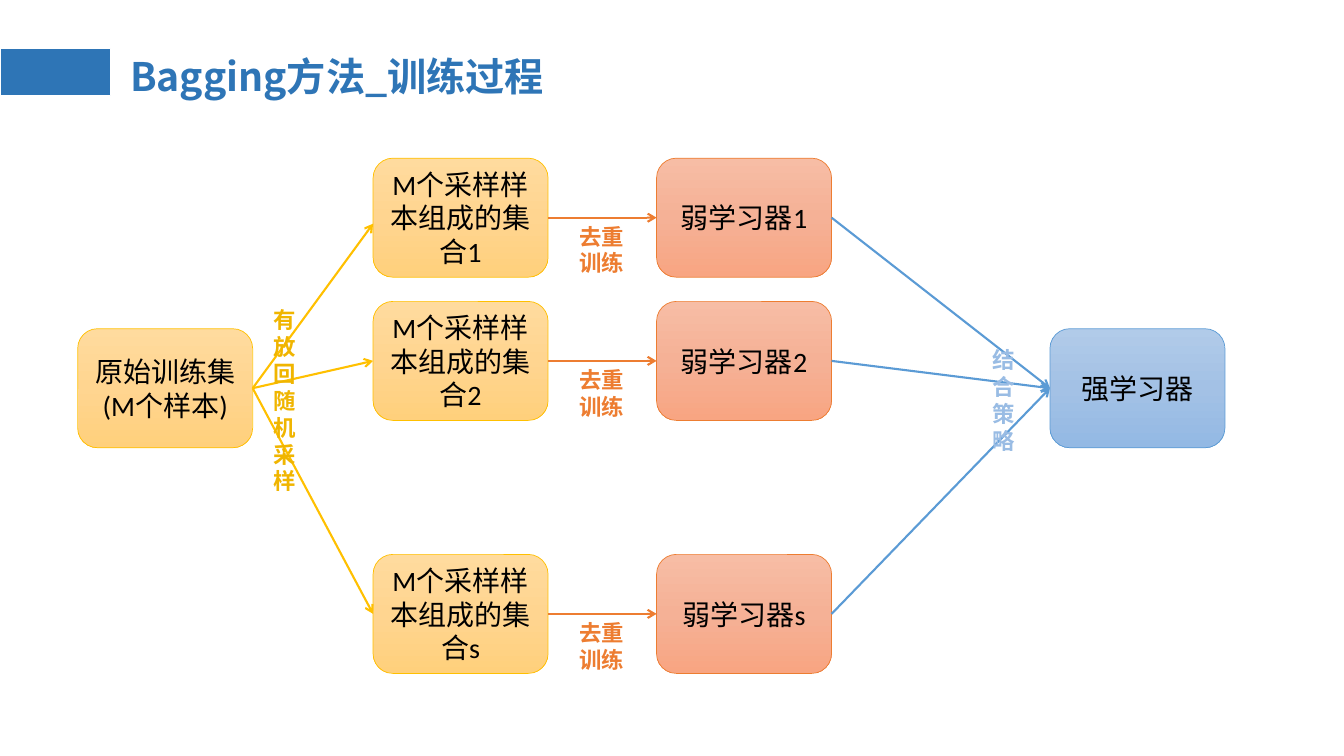
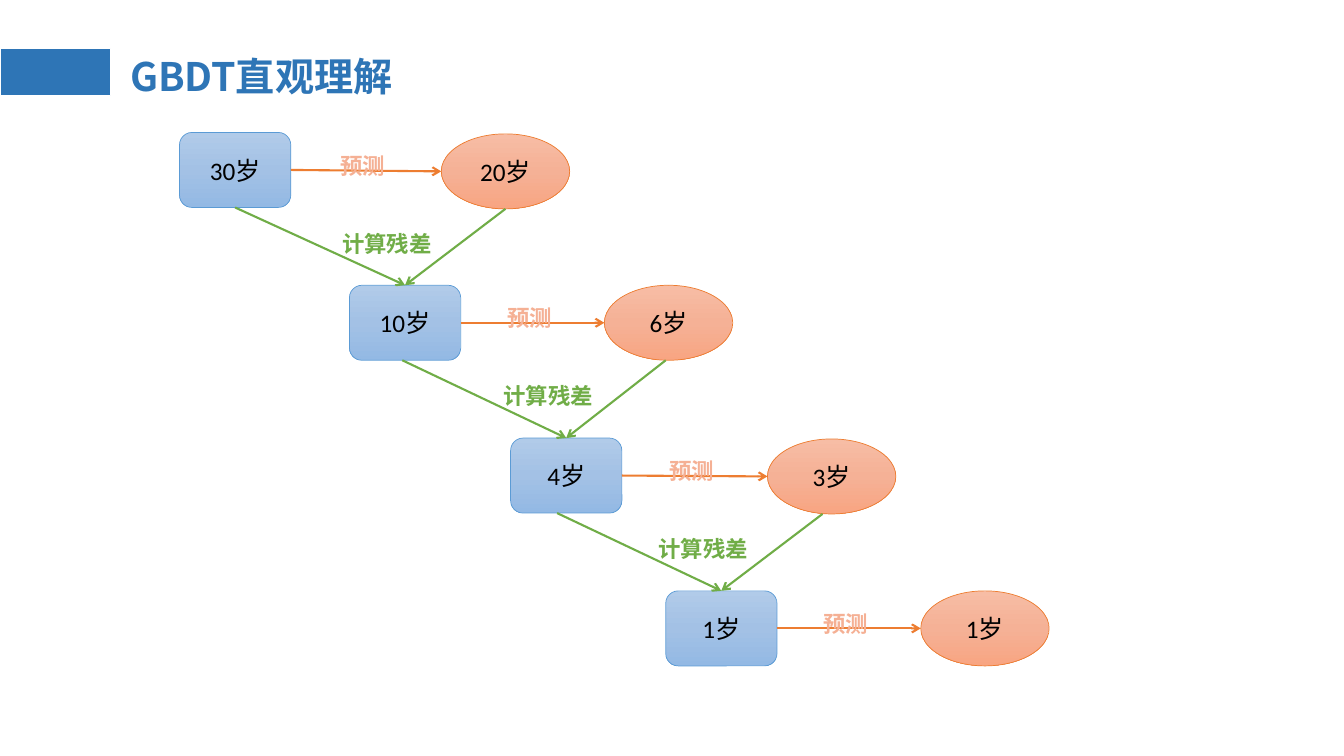
import copy
from dataclasses import dataclass
from typing import Any

import lxml.etree
import pptx
import pptx.dml.color
import pptx.enum.shapes
import pptx.enum.text
import pptx.oxml.ns
import pptx.util

Pt = pptx.util.Pt
qn = pptx.oxml.ns.qn
SHAPES = pptx.enum.shapes.MSO_SHAPE
ALIGN = pptx.enum.text.PP_ALIGN
TOP, LEFT, BOTTOM, RIGHT = range(4)


@dataclass(frozen=True)
class Tone:
    gradient: tuple
    line: str
    label: str


@dataclass(frozen=True)
class Theme:
    title: str = "2E75B6"
    white: str = "FFFFFF"
    ink: str = "000000"
    green: str = "70AD47"
    yellow: Tone = Tone(("FFDB9E", "FFD590", "FFD07C"), "FFC000", "F0B500")
    orange: Tone = Tone(("F7BDA5", "F5B196", "F8A582"), "ED7D31", "F5B094")
    blue: Tone = Tone(("B1CBE9", "A3C1E5", "93B9E4"), "5B9BD5", "99BCE4")
    title_font: str = "Noto Sans CJK SC"
    body_font: str = "Calibri"
    title_size: int = 28
    box_size: int = 20
    age_size: int = 18
    label_size: int = 16


THEME = Theme()


@dataclass(frozen=True)
class Box:
    """A rectangle in points."""
    left: float
    top: float
    width: float
    height: float

    def inner(self, left, top, width, height):
        return Box(self.left + left, self.top + top, width, height)

    def lengths(self):
        return [Pt(value) for value in (self.left, self.top, self.width, self.height)]


@dataclass(frozen=True)
class Anchor:
    """A connector's end, joined to a shape when one is given."""
    x: int
    y: int
    shape: Any = None
    site: int = 0


def rgb(color):
    return pptx.dml.color.RGBColor.from_string(color)


def format_text(frame, size, color, font=THEME.body_font, bold=False, align=ALIGN.LEFT):
    for paragraph in frame.paragraphs:
        paragraph.alignment = align
        paragraph.font.size = Pt(size)
        paragraph.font.bold = bold
        paragraph.font.color.rgb = rgb(color)
        paragraph.font.name = font
        latin = paragraph._p.find(".//" + qn("a:latin"))
        east_asian = lxml.etree.Element(qn("a:ea"), typeface=THEME.title_font)
        latin.addnext(east_asian)


def add_node(slide, kind, box, text, tone, size):
    """Gradient-filled shape with centred text."""
    shape = slide.shapes.add_shape(kind, *box.lengths())
    shape.shadow.inherit = False
    shape.fill.gradient()
    shape.fill.gradient_angle = 270
    stop_list = shape.element.find(".//" + qn("a:gsLst"))
    stop_list.insert(1, copy.deepcopy(stop_list[0]))
    for index, (stop, color) in enumerate(zip(shape.fill.gradient_stops, tone.gradient)):
        stop.color.rgb = rgb(color)
        stop.position = index / 2
    shape.line.color.rgb = rgb(tone.line)
    shape.line.width = Pt(0.5)
    shape.text_frame.text = text
    shape.text_frame.word_wrap = True
    format_text(shape.text_frame, size, THEME.ink, align=ALIGN.CENTER)
    return shape


def add_label(slide, box, text, color, wrap=False):
    frame = slide.shapes.add_textbox(*box.lengths()).text_frame
    frame.text = text
    frame.word_wrap = wrap
    frame.auto_size = pptx.enum.text.MSO_AUTO_SIZE.SHAPE_TO_FIT_TEXT
    format_text(frame, THEME.label_size, color, bold=True)


def side(shape, site, shift=(0, 0)):
    """Middle of a shape's side; a shifted or an oval end is left free."""
    x = shape.left + {LEFT: 0, RIGHT: shape.width}.get(site, shape.width // 2)
    y = shape.top + {TOP: 0, BOTTOM: shape.height}.get(site, shape.height // 2)
    if any(shift) or shape.auto_shape_type == SHAPES.OVAL:
        return Anchor(x + Pt(shift[0]), y + Pt(shift[1]))
    return Anchor(x, y, shape, site)


def add_arrow(slide, start, end, color):
    connector = slide.shapes.add_connector(
        pptx.enum.shapes.MSO_CONNECTOR.STRAIGHT, start.x, start.y, end.x, end.y)
    if start.shape is not None:
        connector.begin_connect(start.shape, start.site)
    if end.shape is not None:
        connector.end_connect(end.shape, end.site)
    connector.line.color.rgb = rgb(color)
    connector.line.width = Pt(1.5)
    properties = connector.element.spPr
    lxml.etree.SubElement(properties.find(qn("a:ln")), qn("a:tailEnd"), type="arrow")
    lxml.etree.SubElement(properties, qn("a:effectLst"))


def prepare_layout(layout, slide):
    """Place the title and the blue band once, on the layout."""
    title = layout.placeholders[0]
    title.left, title.top, title.width, title.height = Box(85.7, 13, 828, 86.4).lengths()
    band = slide.shapes.add_shape(SHAPES.RECTANGLE, *Box(0, 34.8, 79, 33.6).lengths())
    band.shadow.inherit = False
    band.fill.solid()
    band.fill.fore_color.rgb = rgb(THEME.title)
    band.line.color.rgb = rgb(THEME.white)
    band.line.width = Pt(0.75)
    layout.shapes.element.insert(2, band.element)


def set_title(slide, text):
    frame = slide.shapes.title.text_frame
    frame.text = text
    frame.vertical_anchor = pptx.enum.text.MSO_ANCHOR.MIDDLE
    frame.paragraphs[0].line_spacing = 0.9
    format_text(frame, THEME.title_size, THEME.title, THEME.title_font, bold=True)


def draw_bagging(slide, area):
    """Sampling, weak learners and their combination, from left to right."""
    width, height = 125, 85
    sample_left, learner_left, strong_left = 211, 413.5, 694.5
    middle_top = 121.8
    label_width = 46.8

    def add_box(left, top, text, tone):
        return add_node(slide, SHAPES.ROUNDED_RECTANGLE,
                        area.inner(left, top, width, height), text, tone, THEME.box_size)

    source = add_box(0, middle_top, "原始训练集(M个样本)", THEME.yellow)
    strong = add_box(strong_left, middle_top, "强学习器", THEME.blue)

    # One row for each sampled set
    gap_middle = (sample_left + width + learner_left) / 2
    for name, top, entry_shift in (("1", 0, 4.3), ("2", 102.3, 0), ("s", 283, 0)):
        sample = add_box(sample_left, top, "M个采样样本组成的集合" + name, THEME.yellow)
        learner = add_box(learner_left, top, "弱学习器" + name, THEME.orange)
        add_arrow(slide, side(source, RIGHT), side(sample, LEFT, (0, entry_shift)),
                  THEME.yellow.line)
        add_arrow(slide, side(sample, RIGHT), side(learner, LEFT), THEME.orange.line)
        add_arrow(slide, side(learner, RIGHT), side(strong, LEFT), THEME.blue.line)
        label_box = area.inner(gap_middle - label_width / 2, top + height / 2, label_width, 46)
        add_label(slide, label_box, "去重\n训练", THEME.orange.line)

    # Upright labels, one character a line
    for text, left, top, label_height, tone in (
            ("有放回随机采样", 133.1, 102.3, 143.3, THEME.yellow),
            ("结合策略", 646.5, 131, 85, THEME.blue)):
        add_label(slide, area.inner(left, top, 30.2, label_height), "\n".join(text), tone.label)


def draw_residual_steps(slide, area):
    """Staircase of ages, predictions and the residuals between them."""
    pitch = 109.15
    box_width, oval_width, height = 79.5, 91.7, 53.6
    previous = None
    # age, prediction, box left, oval left, oval drop, drift of the arrows below
    steps = (("30岁", "20岁", 0, 187, 1, 0),
             ("10岁", "6岁", 121.4, 303.5, 0, -2),
             ("4岁", "3岁", 236.5, 420, 0.6, -6.5),
             ("1岁", "1岁", 347.3, 529.5, 0, 0))
    for index, (age, guess, left, oval_left, drop, drift) in enumerate(steps):
        top = index * pitch
        box = add_node(slide, SHAPES.ROUNDED_RECTANGLE,
                       area.inner(left, top, box_width, height), age, THEME.blue, THEME.age_size)
        oval = add_node(slide, SHAPES.OVAL, area.inner(oval_left, top + drop, oval_width, height),
                        guess, THEME.orange, THEME.age_size)
        add_arrow(slide, side(box, RIGHT), side(oval, LEFT), THEME.orange.line)
        gap_middle = (left + box_width + oval_left) / 2
        add_label(slide, area.inner(gap_middle - 25.2, top + 10.2, 50.4, 26.6),
                  "预测", THEME.orange.label, wrap=True)

        # Residual passed down from the step above
        if previous:
            for start in previous:
                add_arrow(slide, start, side(box, TOP), THEME.green)
            add_label(slide, area.inner(left - 12.2, top - 43.2, 85, 26.6),
                      "计算残差", THEME.green, wrap=True)
        previous = [side(shape, BOTTOM, (drift, 0)) for shape in (box, oval)]


def main():
    presentation = pptx.Presentation()
    presentation.slide_width, presentation.slide_height = Pt(960), Pt(540)
    layout = presentation.slide_layouts.get_by_name("Title Only")
    pages = (("Bagging方法_训练过程", draw_bagging, Box(55.5, 113, 827, 370)),
             ("GBDT直观理解", draw_residual_steps, Box(128.2, 94.6, 622, 382)))
    for index, (title, draw, area) in enumerate(pages):
        slide = presentation.slides.add_slide(layout)
        if index == 0:
            prepare_layout(layout, slide)
        set_title(slide, title)
        draw(slide, area)
    presentation.save("out.pptx")


if __name__ == "__main__":
    main()
